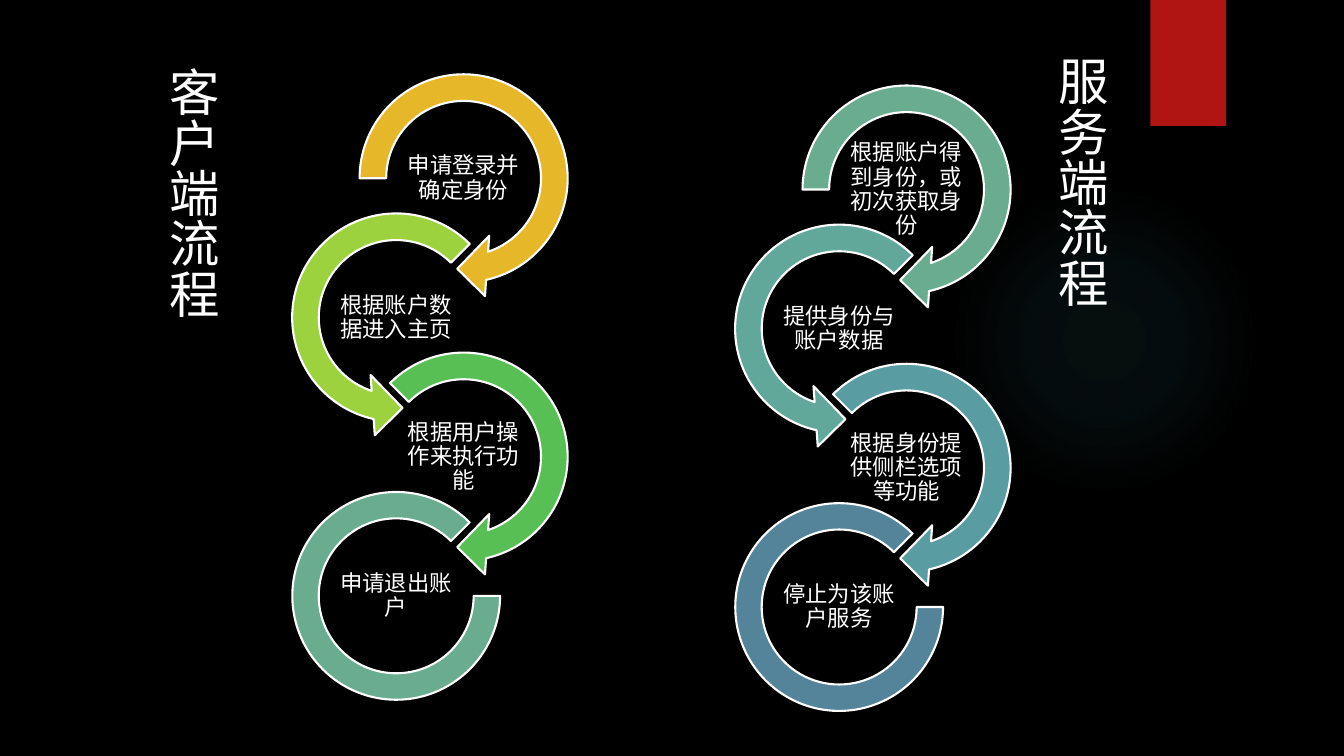
"""Build a slide that sets the client flow beside the server flow."""
from lxml.etree import SubElement
from pptx import Presentation
from pptx.dml.color import RGBColor as Rgb
from pptx.enum.shapes import MSO_SHAPE as Shape
from pptx.enum.text import MSO_ANCHOR as Anchor, MSO_AUTO_SIZE as AutoSize, PP_ALIGN as Align
from pptx.oxml import parse_xml
from pptx.oxml.ns import nsdecls, qn
from pptx.util import Pt

COLORS = {
    "black": "000000", "white": "FFFFFF", "red": "B01513", "glow": "50B9C1",
    "amber": "E6B729", "lime": "9DD23F", "green": "58BF55", "sage": "6AAC90",
    "teal": "61A89B", "lagoon": "599DA2", "steel": "54849A",
}
FONT = "Quicksand"
STEP_DOWN, SHIFT_LEFT = 99.4, 48.2
ARROW_SIZE, ARC_SIZE = 172.8, 148.4
LABEL_WIDTH, LABEL_HEIGHT = 96.5, 48.2
RINGS = [
    (Shape.CIRCULAR_ARROW, (0.11, 11.42, 45, 108, 0.125)),
    (Shape.LEFT_CIRCULAR_ARROW, (0.11, 11.42, 63, 189, 0.125)),
    (Shape.CIRCULAR_ARROW, (0.11, 11.42, 45, 135, 0.125)),
    (Shape.BLOCK_ARC, (0, 189, 0.127)),
]
CLIENT_STEPS = [
    ("申请登录并确定身份", "amber"),
    ("根据账户数据进入主页", "lime"),
    ("根据用户操作来执行功能", "green"),
    ("申请退出账户", "sage"),
]
SERVER_STEPS = [
    ("根据账户得到身份，或初次获取身份", "sage"),
    ("提供身份与账户数据", "teal"),
    ("根据身份提供侧栏选项等功能", "lagoon"),
    ("停止为该账户服务", "steel"),
]


def color(name):
    return Rgb.from_string(COLORS[name])


def write(frame, text, size, align=None, line_spacing=None, space_after=None):
    paragraph = frame.paragraphs[0]
    paragraph.alignment = align
    paragraph.line_spacing = line_spacing
    paragraph.space_after = space_after
    run = paragraph.add_run()
    run.text = text
    run.font.size = Pt(size)
    run.font.name = FONT
    run.font.color.rgb = color("white")
    SubElement(run.font._element, qn("a:ea"), typeface=FONT)


class FlowSlide:
    def __init__(self, slide):
        self.slide = slide
        slide.background.fill.solid()
        slide.background.fill.fore_color.rgb = color("black")

    def shape(self, kind, left, top, width, height, fill, outline=None, parent=None):
        shapes = (parent or self.slide).shapes
        figure = shapes.add_shape(kind, Pt(left), Pt(top), Pt(width), Pt(height))
        figure.shadow.inherit = False
        figure.fill.solid()
        figure.fill.fore_color.rgb = color(fill)
        if outline:
            figure.line.color.rgb = color(outline)
            figure.line.width = Pt(1.5)
        else:
            figure.line.fill.background()
        return figure

    def glow(self, left, top, size):
        halo = self.shape(Shape.OVAL, left, top, size, size, "glow")
        stops = "".join(
            f'<a:gs pos="{place * 1000}"><a:srgbClr val="{COLORS["glow"]}">'
            f'<a:alpha val="{alpha * 1000}"/></a:srgbClr></a:gs>'
            for place, alpha in ((0, 7), (36, 6), (69, 0)))
        gradient = parse_xml(
            f'<a:gradFill {nsdecls("a")}><a:gsLst>{stops}</a:gsLst><a:path path="circle">'
            '<a:fillToRect l="50000" t="50000" r="50000" b="50000"/></a:path></a:gradFill>')
        properties = halo._element.spPr
        properties.replace(properties.find(qn("a:solidFill")), gradient)

    def label(self, text, left, top, parent):
        box = parent.shapes.add_textbox(Pt(left), Pt(top), Pt(LABEL_WIDTH), Pt(LABEL_HEIGHT))
        frame = box.text_frame
        frame.word_wrap = True
        frame.vertical_anchor = Anchor.MIDDLE
        frame.margin_left = frame.margin_right = Pt(0.8)
        frame.margin_top = frame.margin_bottom = Pt(0.8)
        write(frame, text, 16, align=Align.CENTER, line_spacing=0.9, space_after=Pt(5.6))

    def heading(self, text, left, top):
        box = self.slide.shapes.add_textbox(Pt(left), Pt(top), Pt(58.2), Pt(189.4))
        frame = box.text_frame
        frame.word_wrap = False
        frame.auto_size = AutoSize.SHAPE_TO_FIT_TEXT
        frame._txBody.bodyPr.set("vert", "eaVert")
        write(frame, text, 36)

    def flow(self, steps, left, top):
        group = self.slide.shapes.add_group_shape()
        for index, ((text, fill), (kind, bends)) in enumerate(zip(steps, RINGS)):
            x = left - SHIFT_LEFT * (index % 2)
            y = top + STEP_DOWN * index
            size = ARC_SIZE if kind == Shape.BLOCK_ARC else ARROW_SIZE
            inset = (ARROW_SIZE - size) / 2
            ring = self.shape(kind, x + inset, y + inset, size, size, fill, "white", group)
            for position, bend in enumerate(bends):
                ring.adjustments[position] = bend
            self.label(text, x + 38.1, y + 62.6, group)


def main():
    deck = Presentation()
    deck.slide_width, deck.slide_height = Pt(960), Pt(540)
    page = FlowSlide(deck.slides.add_slide(deck.slide_layouts[6]))
    page.glow(677.5, 131.8, 221.8)
    page.shape(Shape.RECTANGLE, 821.8, 0, 54, 90, "red")
    page.flow(CLIENT_STEPS, 244.8, 41)
    page.flow(SERVER_STEPS, 561.2, 49)
    page.heading("客户端流程", 104.4, 41)
    page.heading("服务端流程", 739.4, 33.1)
    deck.save("out.pptx")


if __name__ == "__main__":
    main()
